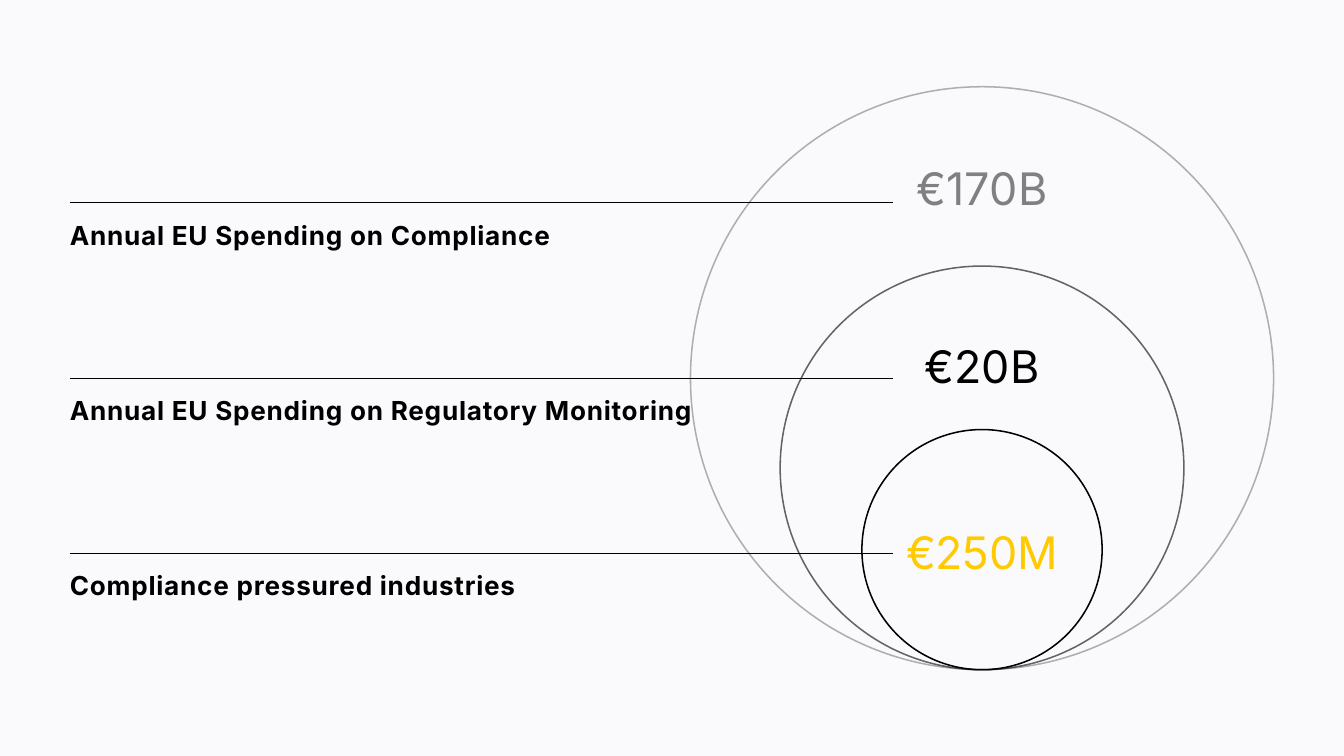
from lxml import etree
from pptx import Presentation
from pptx.dml.color import RGBColor
from pptx.enum.shapes import MSO_CONNECTOR, MSO_SHAPE
from pptx.enum.text import MSO_ANCHOR, PP_ALIGN
from pptx.oxml.ns import qn
from pptx.util import Cm, Pt

OVAL = MSO_SHAPE.OVAL
STRAIGHT = MSO_CONNECTOR.STRAIGHT
TOP, MIDDLE = MSO_ANCHOR.TOP, MSO_ANCHOR.MIDDLE
LEFT, CENTER = PP_ALIGN.LEFT, PP_ALIGN.CENTER

FONT = "Inter"
BLACK = "000000"
CENTER_X, CIRCLE_BOTTOM = 18.56, 12.66
RULE_LEFT, RULE_RIGHT = 1.32, 16.87
FIRST_RULE, RULE_STEP = 3.83, 3.32
FIRST_LABEL, LABEL_STEP = 3.86, 3.3
VALUE_HEIGHT, LABEL_HEIGHT = 1.09, 0.89

# diameter, line opacity in percent
CIRCLES = [(11.02, 30), (7.63, 60), (4.54, 100)]
# text, colour, middle, width, letter spacing in points
VALUES = [
    ("€170B", "808080", 3.5, 3.38, 0.2),
    ("€20B", BLACK, 6.86, 2.51, 0.2),
    ("€250M", "FFCA00", 10.38, 3, -0.1),
]
# text, width
LABELS = [
    ("Annual EU Spending on Compliance", 11.05),
    ("Annual EU Spending on Regulatory Monitoring", 17.93),
    ("Compliance pressured industries", 11.05),
]


def color(hex_string):
    return RGBColor.from_string(hex_string)


def add_circle(s, diameter, opacity):
    """Add an outlined circle that stands on the common bottom point."""
    sp = s.shapes.add_shape(OVAL, Cm(CENTER_X - diameter / 2), Cm(CIRCLE_BOTTOM - diameter),
                            Cm(diameter), Cm(diameter))
    sp.shadow.inherit = False
    sp.fill.background()
    sp.line.color.rgb = color(BLACK)
    sp.line.width = Pt(0.83)
    if opacity < 100:
        srgb = sp.line._ln.find(".//" + qn("a:srgbClr"))
        etree.SubElement(srgb, qn("a:alpha")).set("val", str(opacity * 1000))


def add_rule(s, y):
    line = s.shapes.add_connector(STRAIGHT, Cm(RULE_LEFT), Cm(y), Cm(RULE_RIGHT), Cm(y))
    line.line.color.rgb = color(BLACK)
    line.line.width = Pt(0.42)
    etree.SubElement(line._element.spPr, qn("a:effectLst"))


def add_text(s, text, box, size, line_height, spacing, hex_color=BLACK,
             bold=False, align=LEFT, anchor=TOP):
    sp = s.shapes.add_textbox(*(Cm(v) for v in box))
    tf = sp.text_frame
    tf.word_wrap = True
    tf.vertical_anchor = anchor
    tf.margin_left = tf.margin_right = tf.margin_top = tf.margin_bottom = 0
    p = tf.paragraphs[0]
    p.alignment = align
    p.line_spacing = Pt(line_height)
    r = p.add_run()
    r.text = text
    r.font.name = FONT
    r.font.size = Pt(size)
    r.font.bold = bold
    r.font.color.rgb = color(hex_color)
    r.font._element.set("spc", str(round(spacing * 100)))


def add_value(s, text, hex_color, middle, width, spacing):
    box = (CENTER_X - width / 2, middle - VALUE_HEIGHT / 2, width, VALUE_HEIGHT)
    add_text(s, text, box, 24, 31.2, spacing, hex_color, align=CENTER, anchor=MIDDLE)


def add_label(s, text, top, width):
    add_text(s, text, (RULE_LEFT, top, width, LABEL_HEIGHT), 14, 25.2, 0.4, bold=True)


def main():
    prs = Presentation()
    prs.slide_width, prs.slide_height = Cm(25.4), Cm(14.29)
    s = prs.slides.add_slide(prs.slide_layouts[6])
    s.background.fill.solid()
    s.background.fill.fore_color.rgb = color("FAFAFC")

    for diameter, opacity in CIRCLES:
        add_circle(s, diameter, opacity)
    for value in VALUES:
        add_value(s, *value)
    for i, (text, width) in enumerate(LABELS):
        add_rule(s, FIRST_RULE + i * RULE_STEP)
        add_label(s, text, FIRST_LABEL + i * LABEL_STEP, width)

    prs.save("out.pptx")


if __name__ == "__main__":
    main()
